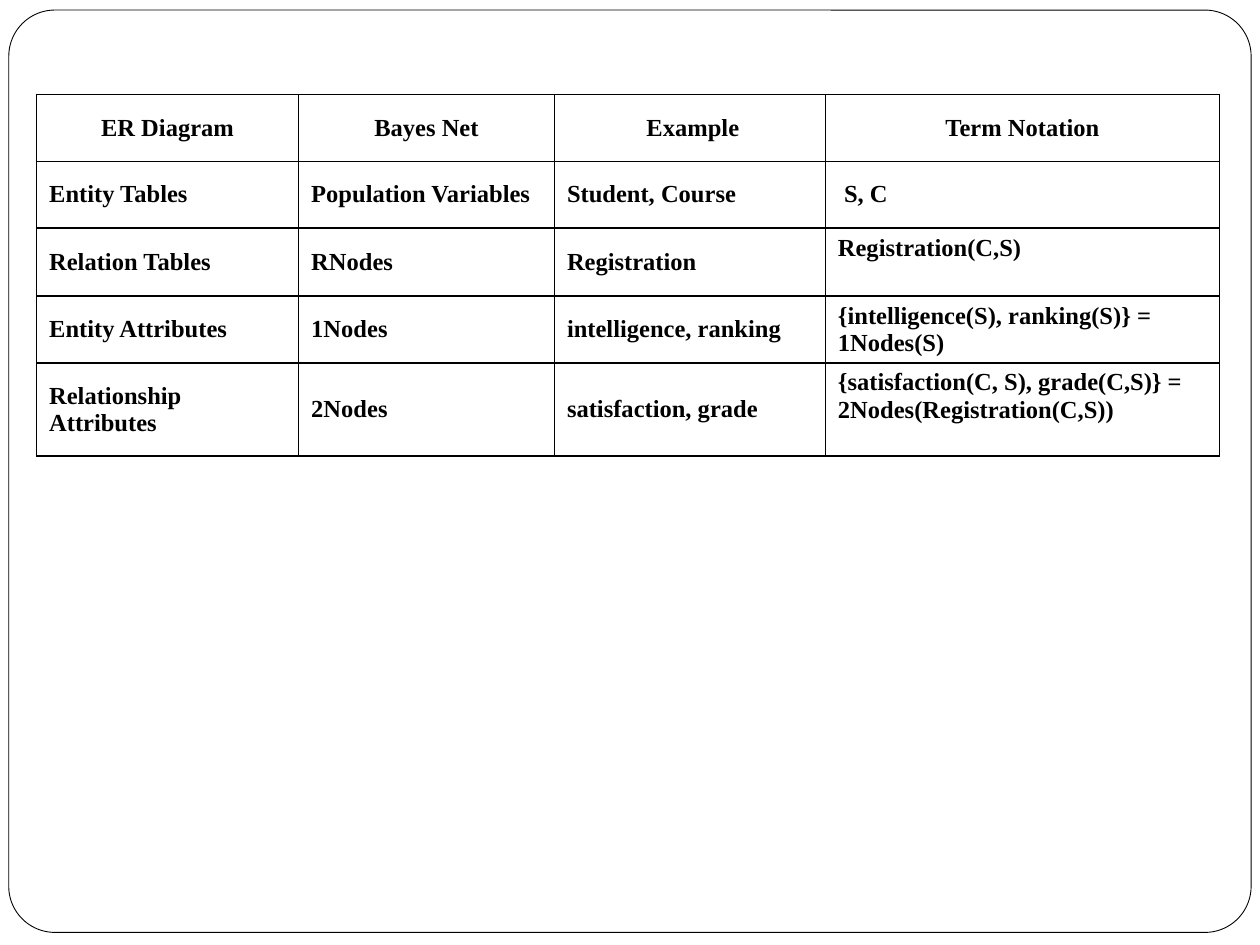
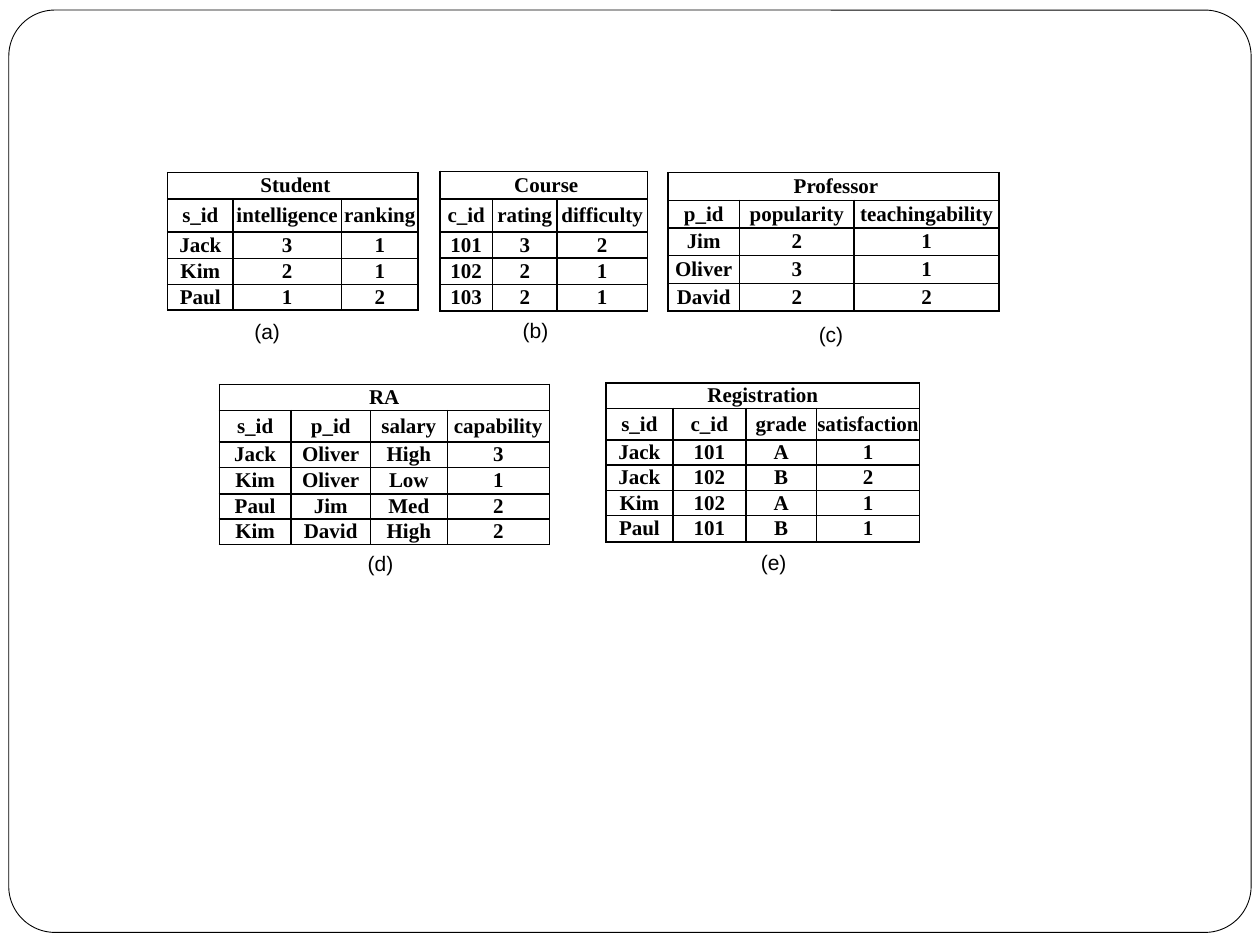
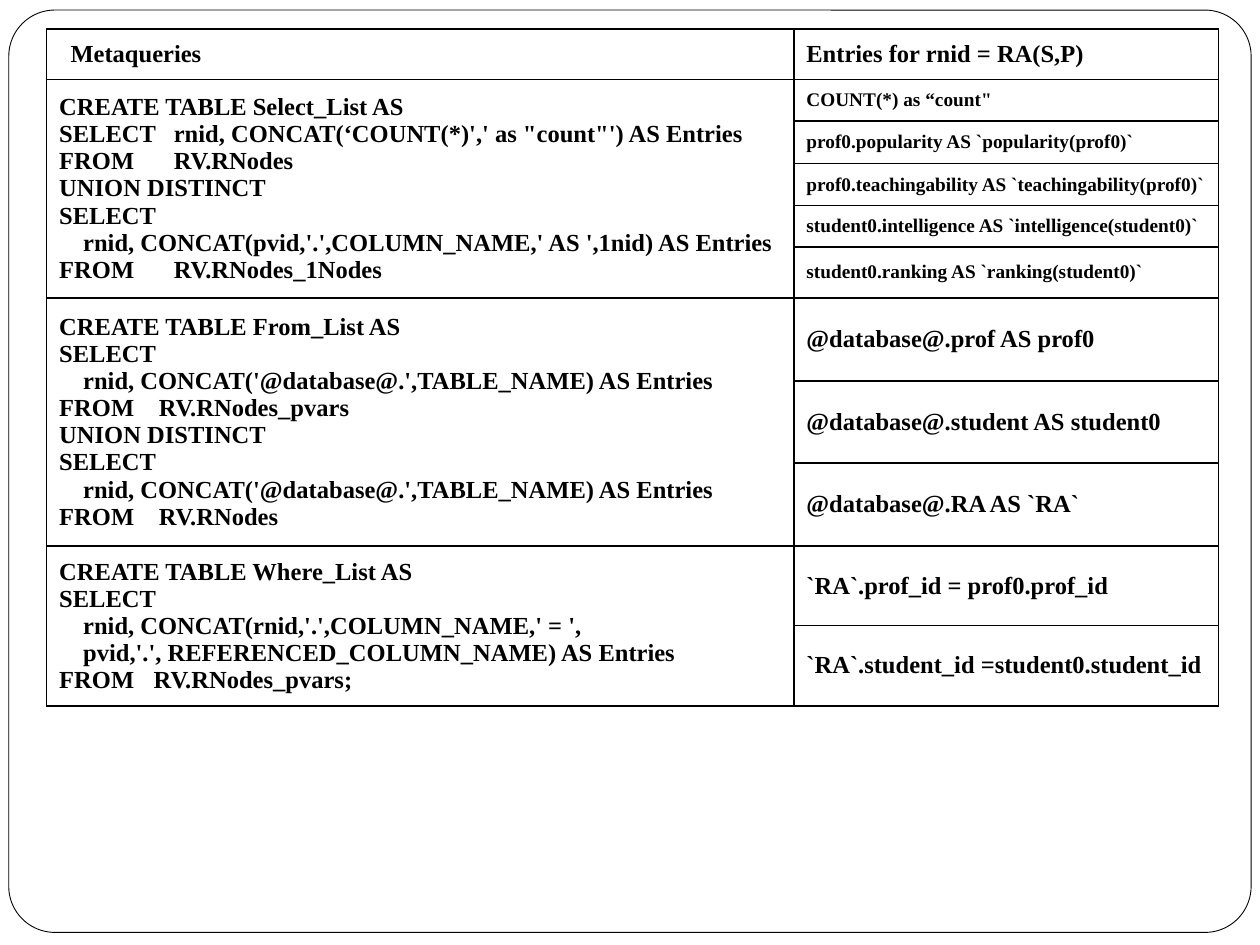
from dataclasses import dataclass, replace
from typing import Callable, NamedTuple

from lxml.etree import SubElement
from pptx import Presentation
from pptx.dml.color import RGBColor
from pptx.enum.shapes import MSO_SHAPE
from pptx.enum.text import MSO_ANCHOR, PP_ALIGN
from pptx.oxml.ns import qn
from pptx.util import Inches, Pt

COLORS = {"ink": "000000", "paper": "FFFFFF"}
TABLE_FONT = "Times New Roman"
CAPTION_FONT = "Arial"
NO_INSETS = (0, 0, 0, 0)
CODE_INDENT = 0.19


@dataclass(frozen=True)
class CellStyle:
    size: int = 14
    align: PP_ALIGN = PP_ALIGN.LEFT
    anchor: MSO_ANCHOR = MSO_ANCHOR.MIDDLE
    insets: tuple[float, float, float, float] = (0.1, 0.05, 0.1, 0.05)
    filled: bool = True
    tabs: tuple[float, ...] = ()


class Span(NamedTuple):
    top: int
    left: int
    bottom: int
    right: int


@dataclass(frozen=True)
class Grid:
    left: float
    top: float
    columns: list[float]
    heights: list[float]
    rows: list[tuple[str, ...]]
    spans: tuple[Span, ...] = ()


@dataclass(frozen=True)
class Relation:
    grid: Grid
    caption: str
    caption_left: float
    caption_top: float


BODY = CellStyle()
HEADER = CellStyle(align=PP_ALIGN.CENTER, insets=NO_INSETS)
COMPACT = replace(HEADER, size=12, filled=False)

TRANSLATION = Grid(
    0.29, 0.75, [2.08, 2.03, 2.15, 3.13], [0.53, 0.53, 0.54, 0.53, 0.74],
    [
        ("ER Diagram", "Bayes Net", " Example", "Term Notation"),
        ("Entity Tables", "Population Variables", "Student, Course", " S, C"),
        ("Relation Tables", "RNodes", "Registration", "Registration(C,S)"),
        ("Entity Attributes", "1Nodes", "intelligence, ranking",
         "{intelligence(S), ranking(S)} = 1Nodes(S)"),
        ("Relationship Attributes", "2Nodes", "satisfaction, grade",
         "{satisfaction(C, S), grade(C,S)} = 2Nodes(Registration(C,S))"),
    ],
)


def relation_grid(left: float, top: float, columns: list[float], heights: list[float],
                  title: str, rows: list[str]) -> Grid:
    cells = [(title,)] + [tuple(row.split()) for row in rows]
    return Grid(left, top, columns, heights, cells, (Span(0, 0, 0, len(columns) - 1),))


RELATIONS = [
    Relation(relation_grid(
        1.33, 1.37, [0.52, 0.86, 0.61], [0.21, 0.26, 0.21, 0.21, 0.2], " Student", [
            "s_id intelligence ranking", "Jack 3 1", "Kim 2 1", "Paul 1 2"]),
        "(a)", 1.92, 2.48),
    Relation(relation_grid(
        3.49, 1.36, [0.42, 0.51, 0.72], [0.22, 0.26, 0.21, 0.21, 0.21], " Course", [
            "c_id rating difficulty", "101 3 2", "102 2 1", "103 2 1"]),
        "(b)", 4.05, 2.47),
    Relation(relation_grid(
        5.3, 1.37, [0.57, 0.91, 1.15], [0.22] * 5, " Professor", [
            "p_id popularity teachingability", "Jim 2 1", "Oliver 3 1", "David 2 2"]),
        "(c)", 6.4, 2.5),
    Relation(relation_grid(
        1.74, 3.05, [0.57, 0.63, 0.61, 0.81], [0.21, 0.25, 0.2, 0.21, 0.2, 0.2], "RA", [
            "s_id p_id salary capability", "Jack Oliver High 3", "Kim Oliver Low 1",
            "Paul Jim Med 2", "Kim David High 2"]),
        "(d)", 2.82, 4.32),
    Relation(relation_grid(
        4.81, 3.04, [0.53, 0.58, 0.56, 0.82], [0.2, 0.25, 0.2, 0.2, 0.2, 0.21],
        "Registration", [
            "s_id c_id grade satisfaction", "Jack 101 A 1", "Jack 102 B 2",
            "Kim 102 A 1", "Paul 101 B 1"]),
        "(e)", 5.94, 4.31),
]

SELECT_QUERY = """CREATE TABLE Select_List AS
SELECT\trnid, CONCAT(‘COUNT(*)',' as "count"') AS Entries
FROM\tRV.RNodes
UNION DISTINCT
SELECT
\trnid, CONCAT(pvid,'.',COLUMN_NAME,' AS ',1nid) AS Entries
FROM\tRV.RNodes_1Nodes"""

FROM_QUERY = """CREATE TABLE From_List AS
SELECT
\trnid, CONCAT('@database@.',TABLE_NAME) AS Entries
FROM\tRV.RNodes_pvars
UNION DISTINCT
SELECT
\trnid, CONCAT('@database@.',TABLE_NAME) AS Entries
FROM\tRV.RNodes"""

WHERE_QUERY = """CREATE TABLE Where_List AS
SELECT
\trnid, CONCAT(rnid,'.',COLUMN_NAME,' = ',
\tpvid,'.', REFERENCED_COLUMN_NAME) AS Entries
FROM\tRV.RNodes_pvars;"""

METAQUERIES = Grid(
    0.37, 0.23, [5.93, 3.37],
    [0.4, 0.33, 0.34, 0.33, 0.33, 0.34, 0.66, 0.65, 0.66, 0.63, 0.63],
    [
        ("Metaqueries", "Entries for rnid = RA(S,P)"),
        (SELECT_QUERY, "COUNT(*) as “count\""),
        ("", "prof0.popularity AS `popularity(prof0)`"),
        ("", "prof0.teachingability AS `teachingability(prof0)`"),
        ("", "student0.intelligence AS `intelligence(student0)`"),
        ("", "student0.ranking AS `ranking(student0)`"),
        (FROM_QUERY, "@database@.prof AS prof0"),
        ("", "@database@.student AS student0"),
        ("", "@database@.RA AS `RA`"),
        (WHERE_QUERY, "`RA`.prof_id = prof0.prof_id"),
        ("", "`RA`.student_id =student0.student_id"),
    ],
    (Span(1, 0, 5, 0), Span(6, 0, 8, 0), Span(9, 0, 10, 0)),
)
CLAUSE_TABS = {1: 0.91, 6: 0.79, 9: 0.75}


def color(name: str) -> RGBColor:
    return RGBColor.from_string(COLORS[name])


def translation_style(row: int, column: int) -> CellStyle:
    if row == 0:
        return HEADER
    if column == 3 and row > 1:
        return replace(BODY, anchor=MSO_ANCHOR.TOP)
    return BODY


def relation_style(row: int, column: int) -> CellStyle:
    return COMPACT


def metaquery_style(row: int, column: int) -> CellStyle:
    if row == 0:
        return replace(BODY, insets=((0.19, 0.1)[column], 0, 0, 0))
    if column == 0:
        if row in CLAUSE_TABS:
            return replace(BODY, tabs=(CODE_INDENT, CLAUSE_TABS[row]))
        return replace(BODY, insets=NO_INSETS)
    return replace(BODY, size=11) if row <= 5 else BODY


def add_borders(cell) -> None:
    properties = cell._tc.get_or_add_tcPr()
    for side in ("L", "R", "T", "B"):
        line = SubElement(properties, qn(f"a:ln{side}"), w=str(Pt(1)))
        fill = SubElement(line, qn("a:solidFill"))
        SubElement(fill, qn("a:srgbClr"), val=COLORS["ink"])


def format_run(span, font: str, size: int, bold: bool) -> None:
    span.font.name = font
    span.font.size = Pt(size)
    span.font.bold = bold
    span.font.color.rgb = color("ink")


def format_cell(cell, style: CellStyle) -> None:
    add_borders(cell)
    if style.filled:
        cell.fill.solid()
        cell.fill.fore_color.rgb = color("paper")
    else:
        cell.fill.background()
    cell.vertical_anchor = style.anchor
    left, top, right, bottom = (Inches(inset) for inset in style.insets)
    cell.margin_left, cell.margin_top = left, top
    cell.margin_right, cell.margin_bottom = right, bottom
    for para in cell.text_frame.paragraphs:
        para.alignment = style.align
        if style.tabs:
            stops = SubElement(para._p.get_or_add_pPr(), qn("a:tabLst"))
            for tab in style.tabs:
                SubElement(stops, qn("a:tab"), pos=str(Inches(tab)), algn="l")
        for span in para.runs:
            format_run(span, TABLE_FONT, style.size, True)


def add_grid(page, grid: Grid, style_of: Callable[[int, int], CellStyle]) -> None:
    table = page.shapes.add_table(
        len(grid.heights), len(grid.columns), Inches(grid.left), Inches(grid.top),
        Inches(sum(grid.columns)), Inches(sum(grid.heights))).table
    table.first_row = False
    table.horz_banding = False
    for column, width in zip(table.columns, grid.columns):
        column.width = Inches(width)
    for row, height in zip(table.rows, grid.heights):
        row.height = Inches(height)
    for row, texts in enumerate(grid.rows):
        for column, text in enumerate(texts):
            table.cell(row, column).text_frame.text = text
    for row in range(len(grid.heights)):
        for column in range(len(grid.columns)):
            format_cell(table.cell(row, column), style_of(row, column))
    for span in grid.spans:
        table.cell(span.top, span.left).merge(table.cell(span.bottom, span.right))


def add_caption(page, relation: Relation) -> None:
    box = page.shapes.add_textbox(Inches(relation.caption_left), Inches(relation.caption_top),
                                  Inches(0.62), Inches(0.3))
    box.text_frame.word_wrap = True
    box.text_frame.text = relation.caption
    format_run(box.text_frame.paragraphs[0].runs[0], CAPTION_FONT, 12, False)


def add_framed_page(deck):
    page = deck.slides.add_slide(deck.slide_layouts[6])
    frame = page.shapes.add_shape(MSO_SHAPE.ROUNDED_RECTANGLE, Inches(0.07), Inches(0.08),
                                  Inches(9.86), Inches(7.32))
    frame.adjustments[0] = 0.05
    frame.shadow.inherit = False
    frame.fill.solid()
    frame.fill.fore_color.rgb = color("paper")
    frame.line.color.rgb = color("ink")
    frame.line.width = Pt(0.5)
    return page


def main() -> None:
    deck = Presentation()
    deck.slide_width = Inches(10)
    deck.slide_height = Inches(7.5)
    add_grid(add_framed_page(deck), TRANSLATION, translation_style)
    relations_page = add_framed_page(deck)
    for relation in RELATIONS:
        add_grid(relations_page, relation.grid, relation_style)
        add_caption(relations_page, relation)
    add_grid(add_framed_page(deck), METAQUERIES, metaquery_style)
    deck.save("out.pptx")


if __name__ == "__main__":
    main()
